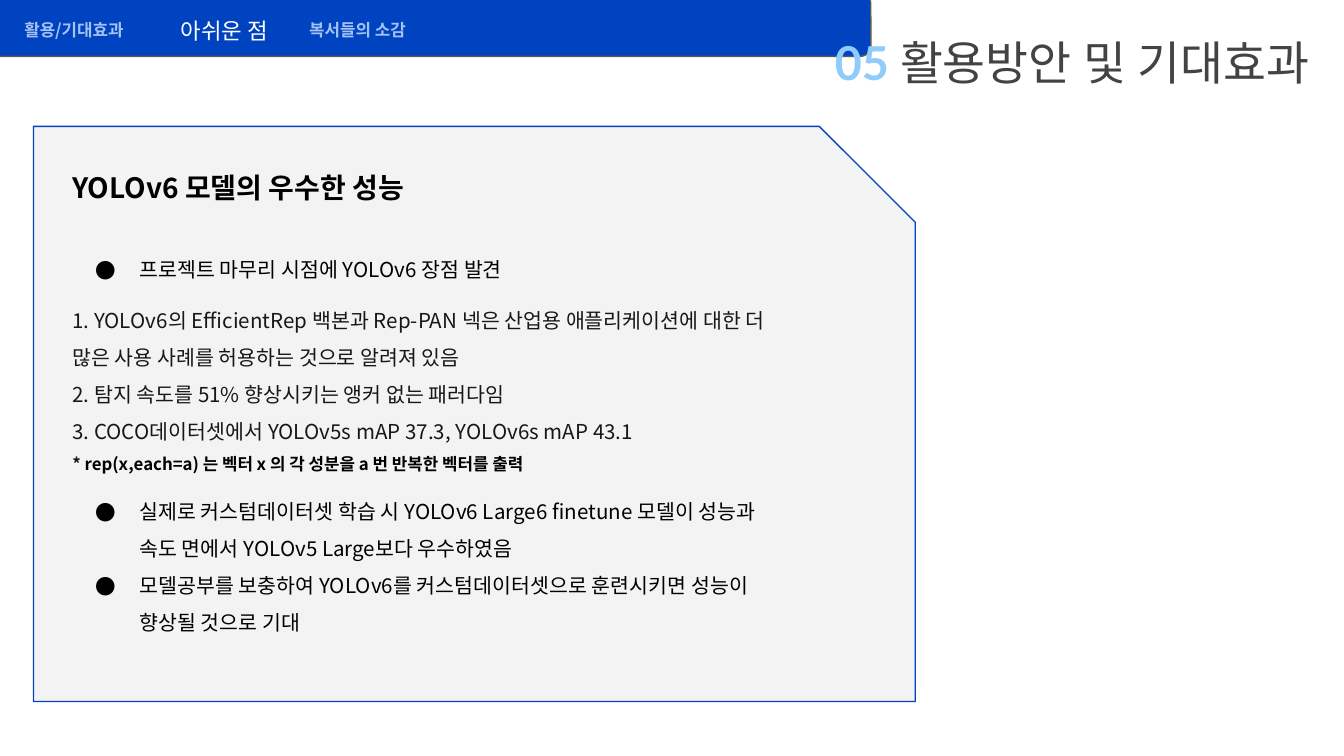
from pptx import Presentation
from pptx.dml.color import RGBColor
from pptx.enum.shapes import MSO_SHAPE
from pptx.enum.text import MSO_ANCHOR, MSO_AUTO_SIZE, PP_ALIGN
from pptx.oxml.ns import qn
from pptx.util import Inches, Pt
from lxml.etree import SubElement

COLORS = {
    "blue": "0043C1", "pale_blue": "A4C2F4", "sky": "90CCFA", "white": "FFFFFF",
    "panel": "F3F3F3", "outline": "595959", "title": "434343",
    "ink": "15171A", "black": "000000",
}
KOREAN_FONT = "Noto Sans CJK KR"
TITLE_FONT = "Lato"

TABS = [
    (0.3, 0.2, 1, 0.15, "활용/기대효과", 9, "pale_blue", True),
    (1.42, 0.18, 1, 0.2, "아쉬운 점", 12, "white", False),
    (2.34, 0.2, 1.14, 0.15, "복서들의 소감", 9, "pale_blue", True),
]

BODY = [
    (False, 1.15, 0, [("YOLOv6 모델의 우수한 성능", 15, "black", True)]),
    (True, 1.5, 22, [("프로젝트 마무리 시점에 YOLOv6 장점 발견", 11, "black", False)]),
    (False, 1.5, 7.2, [("1. YOLOv6의 EfficientRep 백본과 Rep-PAN 넥은 산업용 애플리케이션에 대한 "
                        "더 많은 사용 사례를 허용하는 것으로 알려져 있음", 11, "ink", False)]),
    (False, 1.5, 0, [("2. 탐지 속도를 51% 향상시키는 앵커 없는 패러다임", 11, "ink", False)]),
    (False, 1.5, 0, [("3. COCO데이터셋에서 YOLOv5s mAP 37.3, YOLOv6s mAP 43.1", 11, "ink", False)]),
    (False, 1.5, 0, [("* ", 9, "ink", True),
                     ("rep(x,each=a) 는 벡터 x 의 각 성분을 a 번 반복한 벡터를 출력", 9, "black", True)]),
    (True, 1.5, 7.2, [("실제로 커스텀데이터셋 학습 시 YOLOv6 Large6 finetune 모델이 성능과 "
                       "속도 면에서 YOLOv5 Large보다 우수하였음", 11, "black", False)]),
    (True, 1.5, 0, [("모델공부를 보충하여 YOLOv6를 커스텀데이터셋으로 훈련시키면 "
                     "성능이 향상될 것으로 기대", 11, "black", False)]),
]


def rgb(name):
    return RGBColor.from_string(COLORS[name])


def add_run(paragraph, text, size, color, bold, font=KOREAN_FONT):
    run = paragraph.add_run()
    run.text = text
    run.font.size = Pt(size)
    run.font.bold = bold
    run.font.name = font
    run.font.color.rgb = rgb(color)
    SubElement(run.font._element, qn("a:ea"), typeface=font)


def add_bullet(paragraph):
    properties = paragraph._p.get_or_add_pPr()
    properties.set("marL", str(Inches(0.5)))
    properties.set("indent", str(Inches(-0.33)))
    bullet_color = SubElement(properties, qn("a:buClr"))
    SubElement(bullet_color, qn("a:srgbClr"), val=COLORS["black"])
    SubElement(properties, qn("a:buFont"), typeface=KOREAN_FONT)
    SubElement(properties, qn("a:buChar"), char="●")


def set_margins(frame, margin):
    frame.margin_left = frame.margin_right = Inches(margin)
    frame.margin_top = frame.margin_bottom = Inches(margin)
    frame.word_wrap = True


def add_box(shapes, kind, left, top, width, height, fill, line):
    shape = shapes.add_shape(kind, Inches(left), Inches(top), Inches(width), Inches(height))
    shape.shadow.inherit = False
    shape.fill.solid()
    shape.fill.fore_color.rgb = rgb(fill)
    shape.line.color.rgb = rgb(line)
    shape.line.width = Pt(0.75)
    return shape


def add_text_frame(shapes, left, top, width, height, margin):
    text_box = shapes.add_textbox(Inches(left), Inches(top), Inches(width), Inches(height))
    frame = text_box.text_frame
    set_margins(frame, margin)
    frame.auto_size = MSO_AUTO_SIZE.SHAPE_TO_FIT_TEXT
    return frame


def add_navigation(slide, left, top, width, height):
    shapes = slide.shapes.add_group_shape().shapes
    add_box(shapes, MSO_SHAPE.ROUNDED_RECTANGLE, left, top, width, height, "blue", "outline")
    for x, y, tab_width, tab_height, label, size, color, bold in TABS:
        frame = add_text_frame(shapes, left + x, top + y, tab_width, tab_height, 0)
        paragraph = frame.paragraphs[0]
        paragraph.alignment = PP_ALIGN.CENTER
        add_run(paragraph, label, size, color, bold)


def add_body(slide, left, top, width, height):
    frame = add_text_frame(slide.shapes, left + 0.19, top + 0.19,
                           width - 1.19, height - 0.64, 0.1)
    for index, (bulleted, spacing, gap, runs) in enumerate(BODY):
        paragraph = frame.add_paragraph() if index else frame.paragraphs[0]
        if bulleted:
            add_bullet(paragraph)
        paragraph.line_spacing = spacing
        paragraph.space_before = Pt(gap)
        for run in runs:
            add_run(paragraph, *run)


def place_title(slide, left, top, width, height):
    title = slide.shapes.title
    title.left, title.top = Inches(left), Inches(top)
    title.width, title.height = Inches(width), Inches(height)
    frame = title.text_frame
    set_margins(frame, 0.1)
    frame.auto_size = MSO_AUTO_SIZE.NONE
    frame.vertical_anchor = MSO_ANCHOR.BOTTOM
    paragraph = frame.paragraphs[0]
    paragraph.alignment = PP_ALIGN.RIGHT
    add_run(paragraph, "05 ", 25, "sky", True, TITLE_FONT)
    add_run(paragraph, "활용방안 및 기대효과", 25, "title", False, TITLE_FONT)
    tree = slide.shapes._spTree
    tree.remove(title._element)
    tree.append(title._element)


def main():
    presentation = Presentation()
    presentation.slide_width = Inches(10)
    presentation.slide_height = Inches(10 * 9 / 16)
    slide = presentation.slides.add_slide(presentation.slide_layouts[5])
    panel = (0.25, 0.94, 6.56, 4.28)
    add_box(slide.shapes, MSO_SHAPE.SNIP_1_RECTANGLE, *panel, "panel", "blue")
    add_navigation(slide, -0.25, -0.05, 6.73, 0.47)
    add_body(slide, *panel)
    place_title(slide, 5.99, 0.06, 3.85, 0.71)
    presentation.save("out.pptx")


if __name__ == "__main__":
    main()
